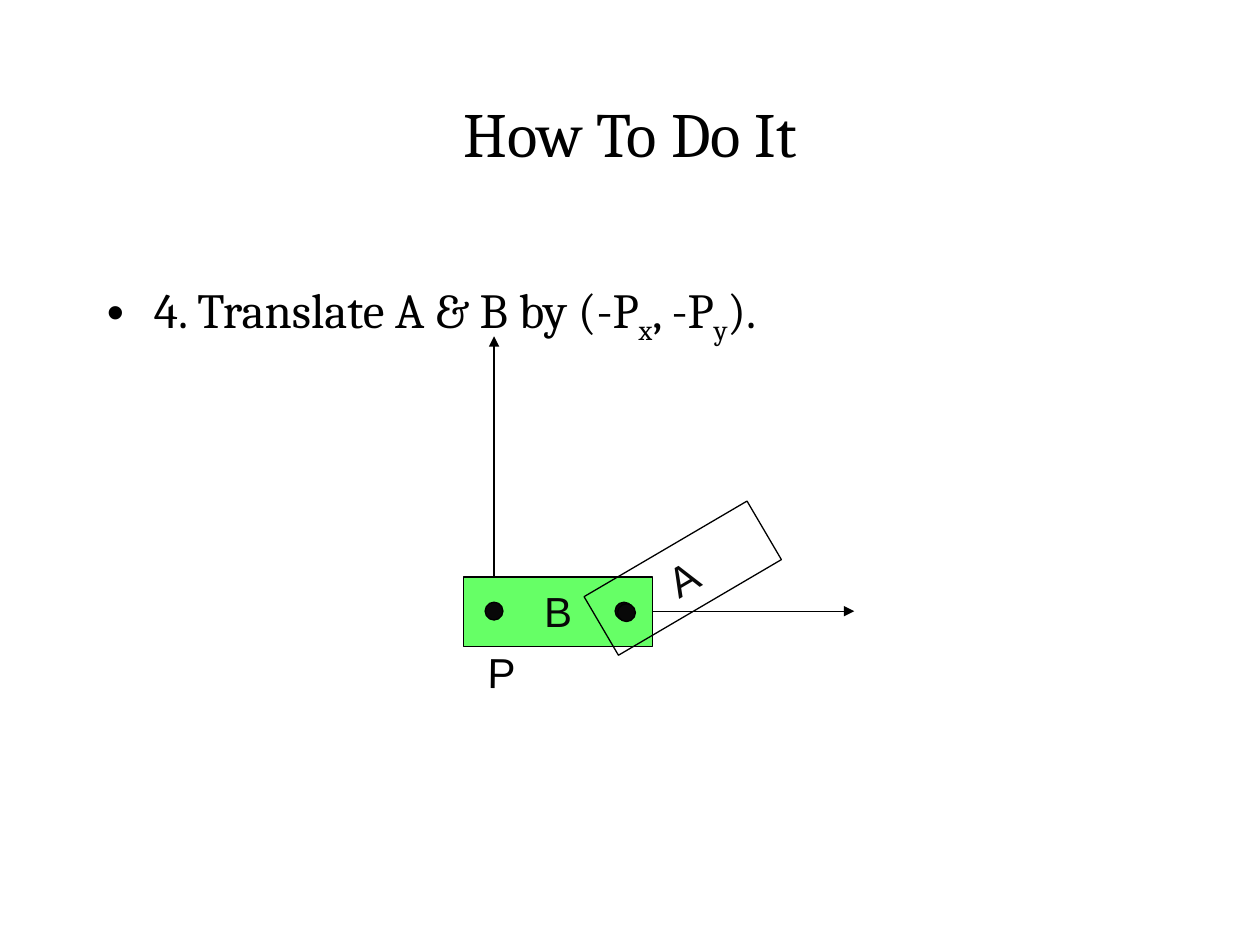
from dataclasses import dataclass

import pptx
import pptx.dml.color
import pptx.enum.shapes
import pptx.enum.text
import pptx.oxml
import pptx.oxml.ns
import pptx.util
from pptx.util import Cm

COLORS = {"black": "000000", "dot": "080808", "green": "66FF66"}
SHAPE_KINDS = pptx.enum.shapes.MSO_SHAPE
ANCHORS = pptx.enum.text.MSO_ANCHOR
ALIGNMENTS = pptx.enum.text.PP_ALIGN
ARM_ANGLE = 329.6
DOT_SIZE = 0.36
LABEL_SIZE = (1.07, 1.27)


@dataclass
class Figure:
    """A rectangle or ellipse, measured in centimetres."""
    kind: int
    left: float
    top: float
    width: float
    height: float
    fill: str | None = None
    rotation: float = 0


@dataclass
class Label:
    text: str
    left: float
    top: float
    color: str = "dot"
    rotation: float = 0


def dot(left: float, top: float, rotation: float = 0) -> Figure:
    return Figure(SHAPE_KINDS.OVAL, left, top, DOT_SIZE, DOT_SIZE, "dot", rotation)


ORIGIN = (9.96, 12.32)
AXIS_TIPS = [(17.22, 12.32), (9.96, 6.78)]
PART_B = [
    Figure(SHAPE_KINDS.RECTANGLE, 9.35, 11.63, 3.81, 1.4, "green"),
    dot(12.4, 12.14),
    dot(9.78, 12.14),
    Label("B", 10.72, 11.68),
]
PART_A = [
    Figure(SHAPE_KINDS.RECTANGLE, 11.86, 10.97, 3.81, 1.37, rotation=ARM_ANGLE),
    dot(12.45, 12.17, ARM_ANGLE),
    Label("A", 13.23, 11.02, rotation=ARM_ANGLE),
]
POINT_LABEL = Label("P", 9.58, 12.9, "black", 0.7)
BODY_RUNS = [("4. Translate A & B by (-P", False), ("x", True), (", -P", False),
             ("y", True), (").", False)]


def rgb(name: str) -> pptx.dml.color.RGBColor:
    return pptx.dml.color.RGBColor.from_string(COLORS[name])


def set_attributes(target, values: dict) -> None:
    for name, value in values.items():
        setattr(target, name, value)


def format_font(font, name: str, size: int, color: str) -> None:
    set_attributes(font, {"name": name, "size": pptx.util.Pt(size)})
    font.color.rgb = rgb(color)


def format_line(line) -> None:
    line.color.rgb = rgb("black")
    line.width = pptx.util.Pt(0.75)


def place(shape, left: float, top: float, width: float, height: float) -> None:
    set_attributes(shape, {"left": Cm(left), "top": Cm(top),
                           "width": Cm(width), "height": Cm(height)})


def add_axis(shapes, tip: tuple[float, float]) -> None:
    axis = shapes.add_connector(pptx.enum.shapes.MSO_CONNECTOR.STRAIGHT,
                                *map(Cm, ORIGIN + tip))
    format_line(axis.line)
    arrowhead = pptx.oxml.parse_xml(
        f'<a:tailEnd {pptx.oxml.ns.nsdecls("a")} type="triangle"/>')
    axis.line._get_or_add_ln().append(arrowhead)
    axis._element.spPr.append(
        pptx.oxml.parse_xml(f'<a:effectLst {pptx.oxml.ns.nsdecls("a")}/>'))


def add_figure(shapes, figure: Figure) -> None:
    shape = shapes.add_shape(figure.kind, Cm(figure.left), Cm(figure.top),
                             Cm(figure.width), Cm(figure.height))
    shape.shadow.inherit = False
    shape.rotation = figure.rotation
    format_line(shape.line)
    if figure.fill:
        shape.fill.solid()
        shape.fill.fore_color.rgb = rgb(figure.fill)
    else:
        shape.fill.background()


def add_label(shapes, label: Label) -> None:
    box = shapes.add_textbox(*map(Cm, (label.left, label.top) + LABEL_SIZE))
    box.rotation = label.rotation
    set_attributes(box.text_frame, {
        "text": label.text, "word_wrap": False, "vertical_anchor": ANCHORS.MIDDLE,
        "auto_size": pptx.enum.text.MSO_AUTO_SIZE.SHAPE_TO_FIT_TEXT})
    format_font(box.text_frame.paragraphs[0].runs[0].font, "Arial", 24, label.color)


def add_part(shapes, part: list[Figure | Label]) -> None:
    for element in part:
        if isinstance(element, Figure):
            add_figure(shapes, element)
        else:
            add_label(shapes, element)


def fill_title(title) -> None:
    place(title, 1.9, 1.07, 21.6, 3.18)
    set_attributes(title.text_frame, {"text": "How To Do It",
                                      "vertical_anchor": ANCHORS.MIDDLE})
    paragraph = title.text_frame.paragraphs[0]
    paragraph.alignment = ALIGNMENTS.CENTER
    format_font(paragraph.runs[0].font, "Cambria", 36, "black")


def fill_body(body) -> None:
    place(body, 1.9, 5.51, 21.6, 11.43)
    paragraph = body.text_frame.paragraphs[0]
    paragraph.space_before = pptx.util.Pt(0)
    properties = paragraph._p.get_or_add_pPr()
    properties.set("marL", str(Cm(0.95)))
    properties.set("indent", str(-Cm(0.95)))
    for text, is_subscript in BODY_RUNS:
        run = paragraph.add_run()
        run.text = text
        format_font(run.font, "Cambria", 28, "black")
        if is_subscript:
            run._r.get_or_add_rPr().set("baseline", "-25000")


def main() -> None:
    presentation = pptx.Presentation()
    set_attributes(presentation, {"slide_width": Cm(25.4), "slide_height": Cm(19.05)})
    slide = presentation.slides.add_slide(presentation.slide_layouts[1])
    fill_title(slide.shapes.title)
    fill_body(slide.placeholders[1])
    for tip in AXIS_TIPS:
        add_axis(slide.shapes, tip)
    add_part(slide.shapes, PART_B)
    add_part(slide.shapes.add_group_shape().shapes, PART_A)
    add_label(slide.shapes, POINT_LABEL)
    presentation.save("out.pptx")


if __name__ == "__main__":
    main()
